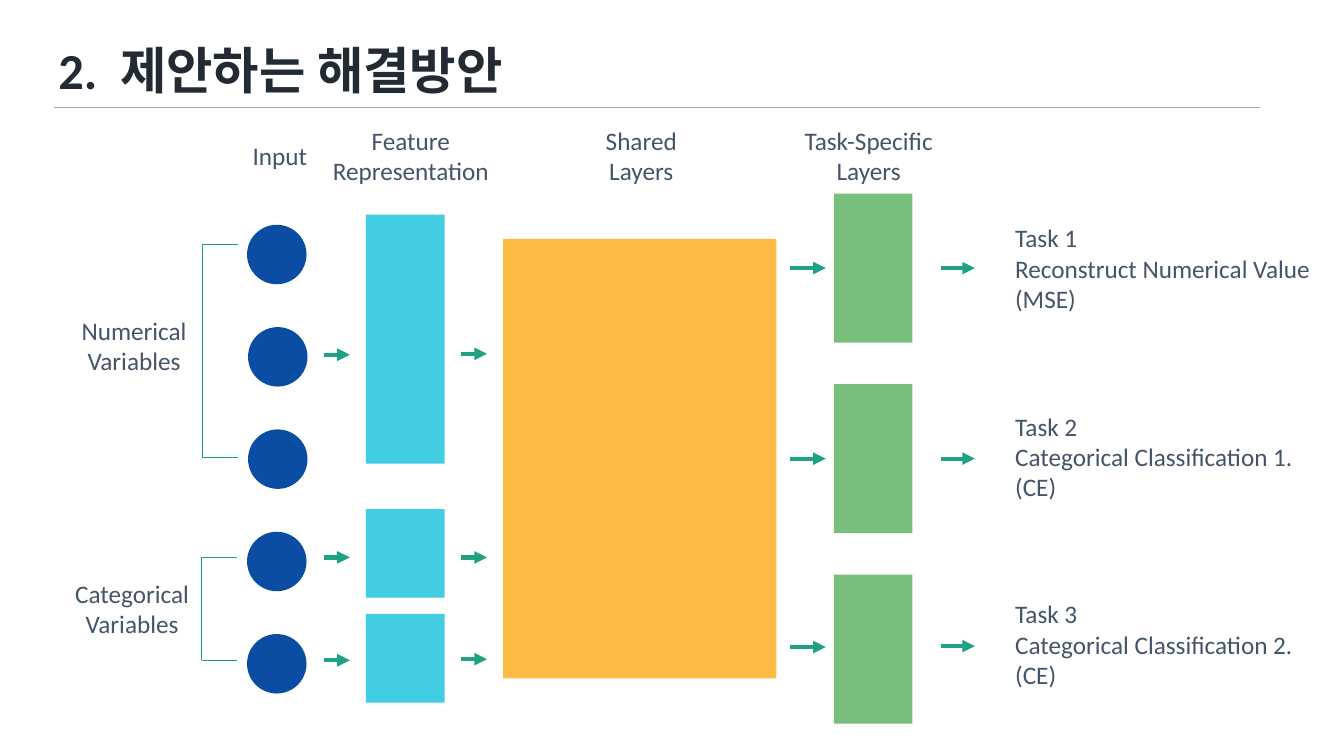
from lxml.etree import SubElement
from pptx import Presentation
from pptx.dml.color import RGBColor
from pptx.enum.shapes import MSO_CONNECTOR, MSO_SHAPE
from pptx.enum.text import MSO_ANCHOR, PP_ALIGN
from pptx.oxml.ns import qn
from pptx.util import Inches, Pt

FONT = "Calibri"
COLORS = {
    "title": "222A34", "rule": "A6A6A6", "text": "445469", "white": "FFFFFF",
    "input": "0A4DA3", "feature": "42CDE2", "shared": "FEBC47",
    "task": "78BF7E", "arrow": "1EA185",
}
TITLE_PARTS = ["2.", " ", "제안하는 해결방안"]
INPUT_HEADER = ("Input", 2.4, 1.34, 0.75, 0.4)
STAGE_HEADERS = [
    ("Feature\nRepresentation", 3.19, 1.19, 1.77, 0.71),
    ("Shared\nLayers", 5.9, 1.19, 0.92, 0.71),
    ("Task-Specific\nLayers", 7.87, 1.19, 1.49, 0.71),
]
VARIABLE_GROUPS = [
    ("Numerical\nVariables", 0.7, 3.08, 1.26, 2.01, 2.42, 4.54),
    ("Categorical\nVariables", 0.64, 5.69, 1.34, 2.0, 5.53, 6.55),
]
TASKS = [
    ("Task 1\nReconstruct Numerical Value\n(MSE)", 2.16, 3.16),
    ("Task 2\nCategorical Classification 1.\n(CE)", 4.03, 2.98),
    ("Task 3\nCategorical Classification 2.\n(CE)", 5.89, 2.98),
]
INPUT_LEFTS = [2.45, 2.46, 2.46, 2.45, 2.45]
INPUT_TOP, INPUT_STEP, INPUT_SIZE = 2.23, 1.015, 0.59
FEATURE_BLOCKS = [(2.13, 2.47), (5.05, 0.88), (6.09, 0.88)]
TASK_TOP, TASK_STEP = 1.92, 1.89
ARROW_COLUMNS = [
    (3.21, 3.47, [3.52, 5.53, 6.55]),
    (4.57, 4.83, [3.51, 5.53, 6.54]),
    (7.84, 8.19, [2.66, 4.55, 6.42]),
    (9.33, 9.67, [2.66, 4.55, 6.41]),
]


def color(name):
    return RGBColor.from_string(COLORS[name])


def add_block(slide, kind, fill, left, top, width, height):
    shape = slide.shapes.add_shape(
        kind, Inches(left), Inches(top), Inches(width), Inches(height))
    shape.shadow.inherit = False
    shape.fill.solid()
    shape.fill.fore_color.rgb = color(fill)
    shape.line.fill.background()
    return shape


def add_line(slide, start, end, stroke, width, arrow=False):
    connector = slide.shapes.add_connector(
        MSO_CONNECTOR.STRAIGHT, *[Inches(value) for value in (*start, *end)])
    connector.line.color.rgb = color(stroke)
    connector.line.width = Pt(width)
    if arrow:
        SubElement(connector.line._get_or_add_ln(), qn("a:tailEnd"), type="triangle")
    SubElement(connector._element.spPr, qn("a:effectLst"))


def write_text(shape, text, alignment):
    frame = shape.text_frame
    frame.text = text
    frame.word_wrap = False
    for paragraph in frame.paragraphs:
        paragraph.alignment = alignment
        paragraph.font.name = FONT
        paragraph.font.size = Pt(18)
        paragraph.font.color.rgb = color("text")


def add_label(slide, text, left, top, width, height, alignment=PP_ALIGN.CENTER):
    box = slide.shapes.add_textbox(
        Inches(left), Inches(top), Inches(width), Inches(height))
    write_text(box, text, alignment)


def add_title(slide):
    title = slide.shapes.title
    title.left, title.top = Inches(0.48), Inches(0.38)
    title.width, title.height = Inches(12.18), Inches(0.7)
    title.text_frame.vertical_anchor = MSO_ANCHOR.MIDDLE
    paragraph = title.text_frame.paragraphs[0]
    paragraph.alignment = PP_ALIGN.LEFT
    paragraph.line_spacing = 0.9
    for part in TITLE_PARTS:
        run = paragraph.add_run()
        run.text = part
        run.font.name = FONT
        run.font.size = Pt(36)
        run.font.bold = True
        run.font.color.rgb = color("title")
    paragraph.runs[1].font._element.set("spc", "800")
    add_line(slide, (0.54, 1.07), (12.5, 1.07), "rule", 0.5)


def add_inputs(slide):
    for index, left in enumerate(INPUT_LEFTS):
        add_block(slide, MSO_SHAPE.OVAL, "input", left,
                  INPUT_TOP + index * INPUT_STEP, INPUT_SIZE, INPUT_SIZE)
    for text, left, top, width, bracket, upper, lower in VARIABLE_GROUPS:
        add_label(slide, text, left, top, width, 0.71)
        add_line(slide, (bracket, upper), (bracket, lower), "arrow", 0.5)
        for y in (upper, lower):
            add_line(slide, (bracket, y), (bracket + 0.35, y), "arrow", 0.5)


def add_network(slide):
    for top, height in FEATURE_BLOCKS:
        add_block(slide, MSO_SHAPE.RECTANGLE, "feature", 3.63, top, 0.78, height)
    add_block(slide, MSO_SHAPE.RECTANGLE, "shared", 4.99, 2.37, 2.71, 4.36)
    for index, (text, label_top, label_width) in enumerate(TASKS):
        add_block(slide, MSO_SHAPE.RECTANGLE, "task", 8.27,
                  TASK_TOP + index * TASK_STEP, 0.78, 1.48)
        add_label(slide, text, 9.97, label_top, label_width, 1.01, PP_ALIGN.LEFT)
    for start, end, rows in ARROW_COLUMNS:
        for y in rows:
            add_line(slide, (start, y), (end, y), "arrow", 3, arrow=True)


def add_headers(slide):
    add_label(slide, *INPUT_HEADER)
    for text, *place in STAGE_HEADERS:
        shape = add_block(slide, MSO_SHAPE.RECTANGLE, "white", *place)
        fill = shape._element.spPr.find(qn("a:solidFill"))
        SubElement(fill[0], qn("a:alpha"), val="34000")
        write_text(shape, text, PP_ALIGN.CENTER)


def main():
    presentation = Presentation()
    presentation.slide_width = Inches(13.33)
    presentation.slide_height = Inches(7.5)
    slide = presentation.slides.add_slide(presentation.slide_layouts[5])
    add_title(slide)
    add_inputs(slide)
    add_network(slide)
    add_headers(slide)
    presentation.save("out.pptx")


if __name__ == "__main__":
    main()
